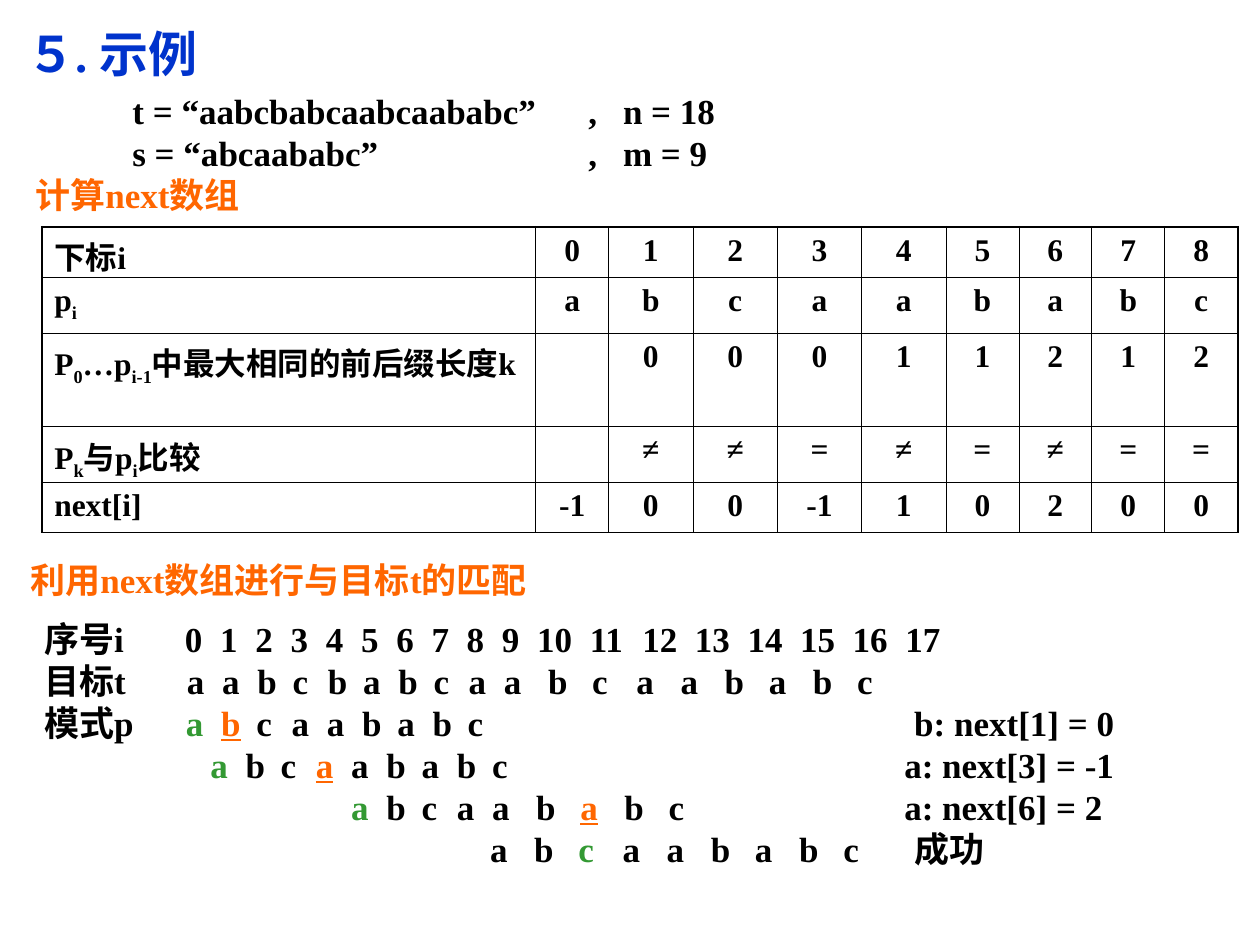
from itertools import accumulate
from pptx import Presentation
from pptx.dml.color import RGBColor
from pptx.enum.text import PP_ALIGN as Align
from pptx.oxml.xmlchemy import OxmlElement as Element
from pptx.util import Cm, Pt

BLACK = RGBColor(0x00, 0x00, 0x00)
BLUE = RGBColor(0x00, 0x33, 0xCC)
ORANGE = RGBColor(0xFF, 0x66, 0x00)
GREEN = RGBColor(0x33, 0x99, 0x33)
FONT = "Times New Roman"

MATCHED = {"color": GREEN}
MISMATCHED = {"color": ORANGE, "underline": True}

# Distance between neighbouring letters, in cm
NARROW, WIDE, WIDE_INDEX = 0.71, 0.89, 1.06

# Label cells: (text, is subscript) pieces
TABLE_ROWS = [
    ([("下标i", False)], "0 1 2 3 4 5 6 7 8".split()),
    ([("p", False), ("i", True)], list("abcaababc")),
    ([("P", False), ("0", True), ("…p", False), ("i-1", True),
      ("中最大相同的前后缀长度k", False)], ["", *"00011212"]),
    ([("P", False), ("k", True), ("与p", False), ("i", True),
      ("比较", False)], ["", *"≠≠=≠=≠=="]),
    ([("next[i]", False)], "-1 0 0 -1 1 0 2 0 0".split()),
]
COL_WIDTHS = [9.96, 1.47] + [1.7] * 4 + [1.47] * 4
ROW_HEIGHTS = [1.02, 1.12, 1.88, 1.12, 1.02]

PATTERN = "abcaababc"
# label, start, narrow gaps, marked letters, note, note position
PATTERN_ROWS = [
    ("模式p", 2.86, 8, {0: MATCHED, 1: MISMATCHED}, "b: next[1] = 0", 17.54),
    ("", 3.35, 8, {0: MATCHED, 3: MISMATCHED}, "a: next[3] = -1", 17.34),
    ("", 6.19, 4, {0: MATCHED, 6: MISMATCHED}, "a: next[6] = 2", 17.34),
    ("", 8.99, 0, {2: MATCHED}, "成功", 17.54),
]


def add_run(p, text, size=20, color=BLACK, underline=None, subscript=False):
    r = p.add_run()
    r.text = text
    fmt = {"name": FONT, "size": Pt(size), "bold": True, "underline": underline}
    for name, value in fmt.items():
        setattr(r.font, name, value)
    r.font.color.rgb = color
    if subscript:
        r.font._element.set("baseline", "-25000")


def add_tabs(p, stops):
    tab_list = Element("a:tabLst")
    for stop in stops:
        tab = Element("a:tab")
        tab.set("pos", str(Cm(stop)))
        tab.set("algn", "l")
        tab_list.append(tab)
    p._p.get_or_add_pPr().append(tab_list)


def add_text_box(slide, left, top, width, height):
    tf = slide.shapes.add_textbox(Cm(left), Cm(top), Cm(width), Cm(height)).text_frame
    tf.word_wrap = True
    return tf


def add_line(tf, runs, stops=(), spacing=24):
    """Add one paragraph; runs are (text, run options) pairs."""
    p = tf.paragraphs[0] if not tf.paragraphs[0].runs else tf.add_paragraph()
    if stops:
        add_tabs(p, stops)
    p.line_spacing = Pt(spacing)
    for text, options in runs:
        add_run(p, text, **options)


def add_sequence(tf, label, items, start, narrow, wide=WIDE, marks=None, note=None):
    """Add a row of items on tab stops: narrow gaps first, then wide ones."""
    marks = marks or {}
    gaps = [NARROW if i < narrow else wide for i in range(len(items) - 1)]
    stops = list(accumulate(gaps, initial=start))
    runs = [(label, {})] if label else []
    for i, item in enumerate(items):
        runs += [("\t", {}), (item, marks.get(i, {}))]
    if note:
        text, position = note
        runs.append(("\t" + text, {}))
        stops.append(position)
    add_line(tf, runs, stops)


def set_border(cell, side, width):
    ln = Element(f"a:ln{side}")
    ln.set("w", str(Pt(width)))
    fill, color = Element("a:solidFill"), Element("a:srgbClr")
    color.set("val", str(BLACK))
    fill.append(color)
    ln.append(fill)
    cell._tc.get_or_add_tcPr().append(ln)


def add_next_table(slide):
    n_rows, n_cols = len(ROW_HEIGHTS), len(COL_WIDTHS)
    table = slide.shapes.add_table(n_rows, n_cols, Cm(0.84), Cm(4.57),
                                   Cm(sum(COL_WIDTHS)), Cm(sum(ROW_HEIGHTS))).table
    table.first_row = table.horz_banding = False
    for col, width in zip(table.columns, COL_WIDTHS):
        col.width = Cm(width)
    for row, height in zip(table.rows, ROW_HEIGHTS):
        row.height = Cm(height)
    for i, (label, values) in enumerate(TABLE_ROWS):
        for j, pieces in enumerate([label] + [[(v, False)] for v in values]):
            cell = table.cell(i, j)
            outer = {"L": j == 0, "R": j == n_cols - 1,
                     "T": i == 0, "B": i == n_rows - 1}
            for side, is_outer in outer.items():
                set_border(cell, side, 1.08 if is_outer else 0.45)
            cell.fill.background()
            p = cell.text_frame.paragraphs[0]
            p.alignment = Align.CENTER if j else Align.LEFT
            for text, subscript in pieces:
                add_run(p, text, 18, subscript=subscript)
    table.cell(0, 0).margin_bottom = 0  # keeps the header row low


def main():
    prs = Presentation()
    prs.slide_width, prs.slide_height = Cm(25.4), Cm(19.05)
    slide = prs.slides.add_slide(prs.slide_layouts[6])

    # Title and the two strings
    tf = add_text_box(slide, 0.28, 0.33, 14.6, 4.17)
    add_line(tf, [("５. 示例", {"size": 28, "color": BLUE})], spacing=34)
    string_stops = [2.14, 11.33, 12.03]
    add_line(tf, [("\tt = “aabcbabcaabcaababc”\t,\tn = 18", {})], string_stops, 28)
    add_line(tf, [("\ts = “abcaababc”\t,\tm = 9", {})], string_stops)
    add_line(tf, [("\t计算next数组", {"color": ORANGE})], [0.18])

    # Table of the next array
    add_next_table(slide)

    # Matching heading
    tf = add_text_box(slide, 0.36, 11.13, 11.8, 1.12)
    add_line(tf, [("利用next数组进行与目标t的匹配", {"color": ORANGE})])

    # Matching steps
    tf = add_text_box(slide, 0.64, 12.32, 24.08, 5.33)
    add_sequence(tf, "序号i", [str(i) for i in range(18)], 2.84, 10, WIDE_INDEX)
    add_sequence(tf, "目标t", "aabcbabcaabcaababc", 2.88, 9)
    for label, start, narrow, marks, note, position in PATTERN_ROWS:
        add_sequence(tf, label, PATTERN, start, narrow,
                     marks=marks, note=(note, position))

    prs.save("out.pptx")


if __name__ == "__main__":
    main()
